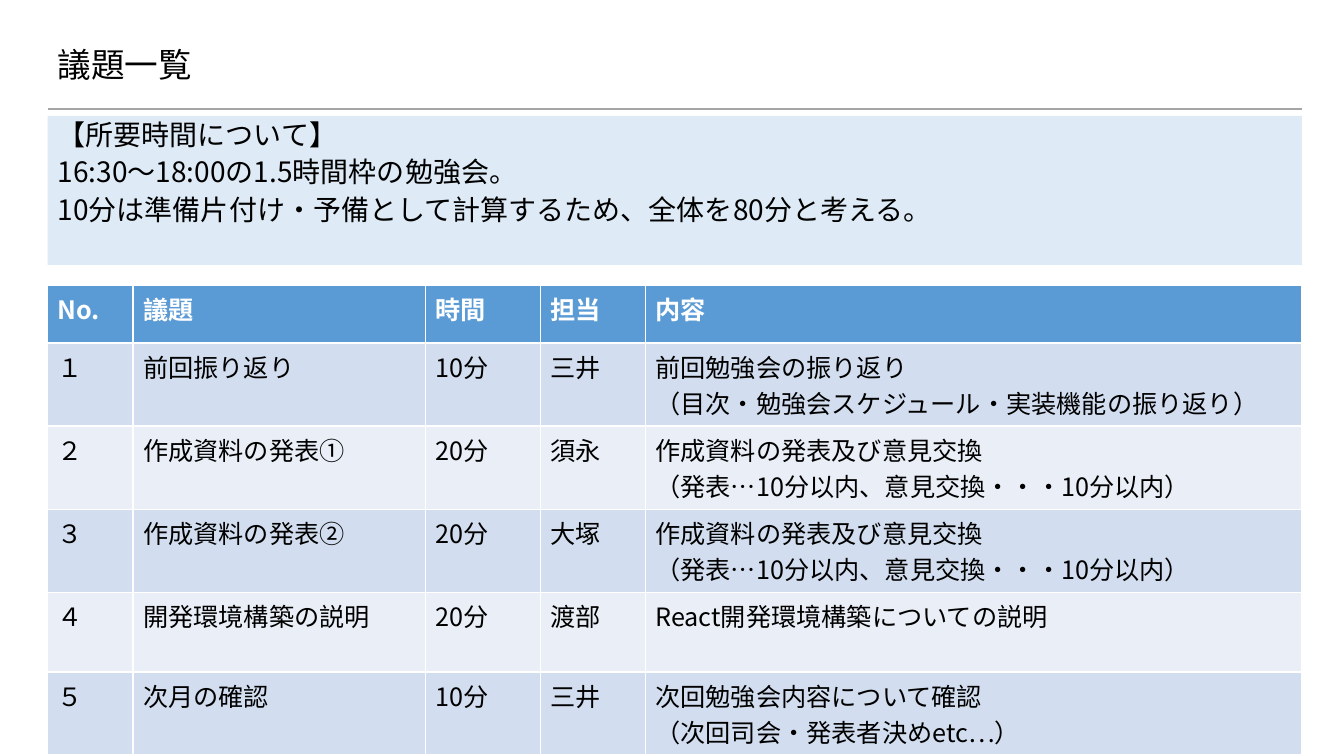
from lxml.etree import SubElement
from pptx import Presentation
from pptx.dml.color import RGBColor
from pptx.enum.shapes import MSO_CONNECTOR
from pptx.enum.text import MSO_ANCHOR, MSO_AUTO_SIZE, PP_ALIGN
from pptx.oxml.ns import qn
from pptx.util import Pt

FACE = "Noto Sans CJK JP"
LEFT, WIDTH = 34, 896


def tint(color, code):
    """Set a fill, line or font colour from a hex string."""
    color.rgb = RGBColor.from_string(code)


def style(frame, size, code="000000", bold=False):
    """Format every paragraph of a text frame."""
    for para in frame.paragraphs:
        para.alignment = PP_ALIGN.LEFT
        font = para.font
        font.size, font.bold, font.name = Pt(size), bold, FACE
        tint(font.color, code)
        SubElement(font._element, qn("a:ea")).set("typeface", FACE)


deck = Presentation()
deck.slide_width, deck.slide_height = Pt(960), Pt(540)
slide = deck.slides.add_slide(deck.slide_layouts[1])
title, body = slide.placeholders

# Title and rule
title.left, title.top, title.width, title.height = Pt(LEFT), Pt(26.6), Pt(828), Pt(42.5)
title.text = "議題一覧"
frame = title.text_frame
frame.vertical_anchor = MSO_ANCHOR.MIDDLE
frame.auto_size = MSO_AUTO_SIZE.NONE
style(frame, 24)
frame.paragraphs[0].line_spacing = 0.9

rule = slide.shapes.add_connector(
    MSO_CONNECTOR.STRAIGHT, Pt(LEFT), Pt(77.8), Pt(LEFT + WIDTH), Pt(77.8))
tint(rule.line.color, "A5A5A5")
rule.line.width = Pt(1.5)
SubElement(rule._element.spPr, qn("a:effectLst"))

# Time notes
body.left, body.top, body.width, body.height = Pt(LEFT), Pt(82.8), Pt(WIDTH), Pt(106.5)
body.fill.solid()
tint(body.fill.fore_color, "DEEBF7")
body.text = "\n".join([
    "【所要時間について】",
    "16:30～18:00の1.5時間枠の勉強会。",
    "10分は準備片付け・予備として計算するため、全体を80分と考える。",
])
frame = body.text_frame
frame.auto_size = MSO_AUTO_SIZE.NONE
frame.vertical_anchor = MSO_ANCHOR.TOP
style(frame, 20)
for para in frame.paragraphs:
    para.line_spacing, para.space_before = 0.9, Pt(5.3)
    props = para._p.get_or_add_pPr()
    props.set("marL", "0")
    props.set("indent", "0")
    # The bullet setting must come before the default run format
    para.font._element.addprevious(SubElement(props, qn("a:buNone")))

# Agenda table
share = "作成資料の発表及び意見交換\n（発表…10分以内、意見交換・・・10分以内）"
agenda = [
    ("No.", "議題", "時間", "担当", "内容"),
    ("１", "前回振り返り", "10分", "三井",
     "前回勉強会の振り返り\n（目次・勉強会スケジュール・実装機能の振り返り）"),
    ("２", "作成資料の発表①", "20分", "須永", share),
    ("３", "作成資料の発表②", "20分", "大塚", share),
    ("４", "開発環境構築の説明", "20分", "渡部", "React開発環境構築についての説明"),
    ("５", "次月の確認", "10分", "三井",
     "次回勉強会内容について確認\n（次回司会・発表者決めetc…）"),
]
widths = [61, 209, 82, 75, 469]
heights = [41, 59, 59, 59, 57, 59]
table = slide.shapes.add_table(
    len(agenda), len(widths), Pt(LEFT), Pt(204), Pt(WIDTH), Pt(sum(heights))).table
for col, width in zip(table.columns, widths):
    col.width = Pt(width)
for num, (row, texts) in enumerate(zip(table.rows, agenda)):
    row.height = Pt(heights[num])
    head = num == 0
    shade = "5B9BD5" if head else ("EAEFF7", "D2DEEF")[num % 2]
    for cell, text in zip(row.cells, texts):
        cell.text = text
        cell.fill.solid()
        tint(cell.fill.fore_color, shade)
        style(cell.text_frame, 18, "FFFFFF" if head else "000000", head)

deck.save("out.pptx")
